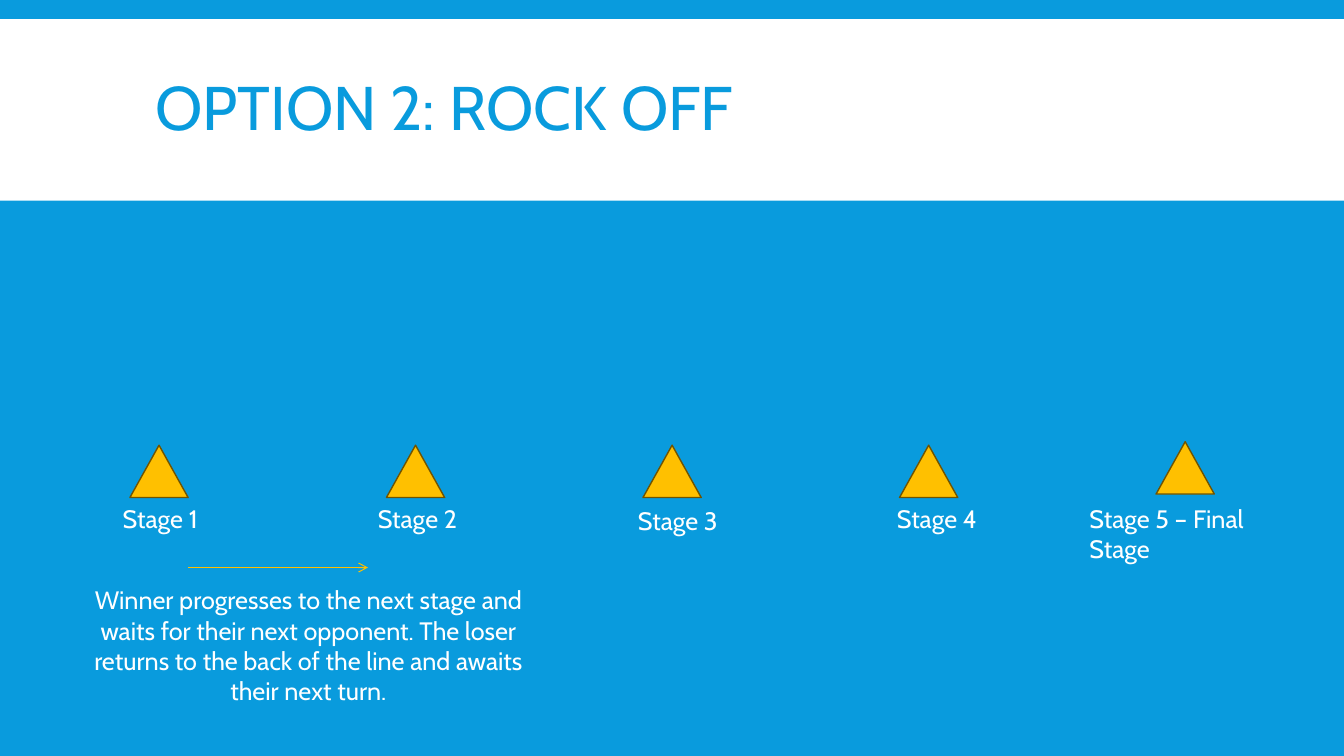
import pptx
import pptx.util
import pptx.dml.color
import pptx.enum.shapes
import pptx.enum.text
import lxml.etree

Pt = pptx.util.Pt
RGB = pptx.dml.color.RGBColor
Kind = pptx.enum.shapes.MSO_SHAPE
Align = pptx.enum.text.PP_ALIGN
Anchor = pptx.enum.text.MSO_ANCHOR

BLUE = RGB(0x09, 0x9B, 0xDD)
WHITE = RGB(0xFF, 0xFF, 0xFF)
GOLD = RGB(0xFF, 0xC0, 0x00)
BROWN = RGB(0x70, 0x54, 0x00)


def apply(item, form):
    for name, value in form.items():
        setattr(item, name, value)


class Deck:
    face = "Cabin"

    def __init__(self, wide, high):
        self.show = pptx.Presentation()
        apply(self.show, {"slide_width": Pt(wide), "slide_height": Pt(high)})
        self.slide = self.show.slides.add_slide(self.show.slide_layouts[6])
        fill = self.slide.background.fill
        fill.solid()
        fill.fore_color.rgb = BLUE

    def shape(self, kind, box, color, edge=None):
        shape = self.slide.shapes.add_shape(kind, *map(Pt, box))
        shape.shadow.inherit = False
        shape.fill.solid()
        shape.fill.fore_color.rgb = color
        if edge is None:
            shape.line.fill.background()
        else:
            shape.line.color.rgb = edge
            shape.line.width = Pt(1)

    def text(self, words, box, size=18, color=WHITE, frame=None, para=None):
        body = self.slide.shapes.add_textbox(*map(Pt, box)).text_frame
        apply(body, {"word_wrap": True, **(frame or {})})
        line = body.paragraphs[0]
        line.text = words
        apply(line, para or {})
        apply(line.font, {"name": self.face, "size": Pt(size)})
        line.font.color.rgb = color

    def arrow(self, ends, color):
        kind = pptx.enum.shapes.MSO_CONNECTOR.STRAIGHT
        arrow = self.slide.shapes.add_connector(kind, *map(Pt, ends))
        arrow.line.color.rgb = color
        arrow.line.width = Pt(0.75)
        space = pptx.oxml.ns.qn
        tail = lxml.etree.SubElement(arrow.line._get_or_add_ln(), space("a:tailEnd"))
        tail.set("type", "arrow")
        lxml.etree.SubElement(arrow._element.spPr, space("a:effectLst"))

    def save(self):
        self.show.save("out.pptx")


def main():
    deck = Deck(960, 540)
    deck.shape(Kind.RECTANGLE, (0, 13.7, 960, 129.6), WHITE)
    deck.text("OPTION 2: ROCK OFF", (103.7, 20.2, 746, 118.8), 44, BLUE,
              {"vertical_anchor": Anchor.MIDDLE}, {"line_spacing": 0.85})

    stages = [
        ("Stage 1", 80.6, 355.6, 76.3),
        ("Stage 2", 262.8, 355.6, 76.3),
        ("Stage 3", 448.6, 357.3, 76.3),
        ("Stage 4", 633.6, 355.6, 76.3),
        ("Stage 5 – Final Stage", 771.1, 355.6, 168.5),
    ]
    for spot, (name, left, top, wide) in enumerate(stages):
        peak = 315.5 if spot == len(stages) - 1 else 318
        deck.shape(Kind.ISOSCELES_TRIANGLE,
                   (92.8 + 183.25 * spot, peak, 41.6, 37.4), GOLD, BROWN)
        deck.text(name, (left, top, wide, 29))

    deck.arrow((134.4, 405.4, 262.8, 405.4), GOLD)
    deck.text("Winner progresses to the next stage and waits for their next "
              "opponent. The loser returns to the back of the line and awaits "
              "their next turn.", (43.9, 414.2, 352.8, 94.4),
              para={"alignment": Align.CENTER})
    deck.save()


if __name__ == "__main__":
    main()
